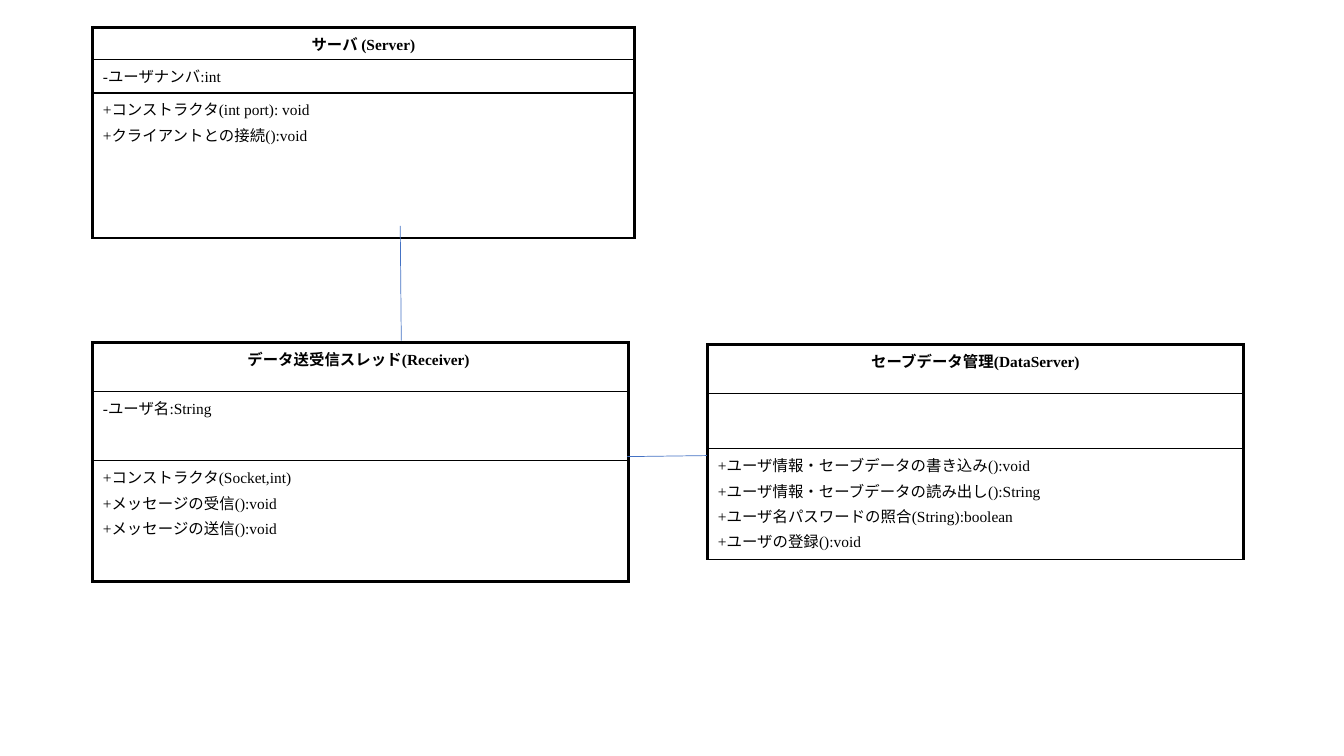
from pptx import Presentation
from pptx import util as u
from pptx.dml.color import RGBColor
from pptx.enum import shapes, text
from pptx.oxml import parse_xml
from pptx.oxml.ns import nsdecls
from pptx.oxml.xmlchemy import OxmlElement

BLACK = RGBColor(0x00, 0x00, 0x00)
BLUE = RGBColor(0x44, 0x72, 0xC4)
THICK, THIN = 2.25, 1


class ClassDiagram:
    """Draws UML class boxes and associations in one style on one slide."""

    font_name = "Times New Roman"
    font_size = u.Pt(11)
    paragraph_gap = u.Pt(2.2)

    def __init__(self, slide):
        self.slide = slide

    def border(self, cell, side, points):
        properties = cell._tc.get_or_add_tcPr()
        properties.append(parse_xml(
            f'<a:ln{side} {nsdecls("a")} w="{u.Pt(points)}">'
            f'<a:solidFill><a:srgbClr val="{BLACK}"/></a:solidFill></a:ln{side}>'))

    def compartment(self, cell, lines, top, bottom, is_title):
        cell.text = "\n".join(lines)
        cell.margin_left = cell.margin_right = u.Inches(0.1)
        cell.margin_top = cell.margin_bottom = u.Inches(0.05)
        for paragraph in cell.text_frame.paragraphs:
            paragraph.space_before = self.paragraph_gap
            paragraph.font.name = self.font_name
            paragraph.font.size = self.font_size
            paragraph.font.bold = is_title
            paragraph.font.color.rgb = BLACK
            if is_title:
                paragraph.alignment = text.PP_ALIGN.CENTER
        for side, points in zip("LRTB", (THICK, THICK, top, bottom)):
            self.border(cell, side, points)
        cell.fill.background()

    def class_box(self, left, top, width, heights, compartments, bottom=THICK):
        frame = self.slide.shapes.add_table(
            len(heights), 1, u.Inches(left), u.Inches(top),
            u.Inches(width), u.Inches(sum(heights)))
        table = frame.table
        table.first_row = table.horz_banding = False
        edges = [THICK] + [THIN] * (len(heights) - 1) + [bottom]
        for row, (height, lines) in enumerate(zip(heights, compartments)):
            table.rows[row].height = u.Inches(height)
            self.compartment(table.cell(row, 0), lines,
                             edges[row], edges[row + 1], row == 0)

    def association(self, start, end):
        line = self.slide.shapes.add_connector(
            shapes.MSO_CONNECTOR.STRAIGHT, *map(u.Inches, start + end))
        line.line.color.rgb = BLUE
        line.line.width = u.Pt(0.5)
        line._element.spPr.append(OxmlElement("a:effectLst"))


presentation = Presentation()
presentation.slide_width = u.Inches(13.33)
presentation.slide_height = u.Inches(7.5)
diagram = ClassDiagram(presentation.slides.add_slide(presentation.slide_layouts[6]))

diagram.class_box(7.02, 3.42, 5.31, (0.48, 0.55, 1.1), (
    ["セーブデータ管理(DataServer)"],
    [],
    ["+ユーザ情報・セーブデータの書き込み():void".replace("+", "+"),
     "+ユーザ情報・セーブデータの読み出し():String",
     "+ユーザ名パスワードの照合(String):boolean",
     "+ユーザの登録():void"],
), bottom=THIN)
diagram.class_box(0.92, 0.27, 5.37, (0.32, 0.33, 1.44), (
    ["サーバ (Server)"],
    ["-ユーザナンバ:int"],
    ["+コンストラクタ(int port): void\u00a0",
     "+クライアントとの接続():void"],
))
diagram.class_box(0.92, 3.4, 5.31, (0.48, 0.69, 1.2), (
    ["データ送受信スレッド(Receiver)\u00a0"],
    ["-ユーザ名:String"],
    ["+コンストラクタ(Socket,int)\u00a0",
     "+メッセージの受信():void\u00a0",
     "+メッセージの送信():void\u00a0"],
))
diagram.association((3.97, 2.24), (3.98, 3.38))
diagram.association((6.22, 4.53), (7.01, 4.52))

presentation.save("out.pptx")
